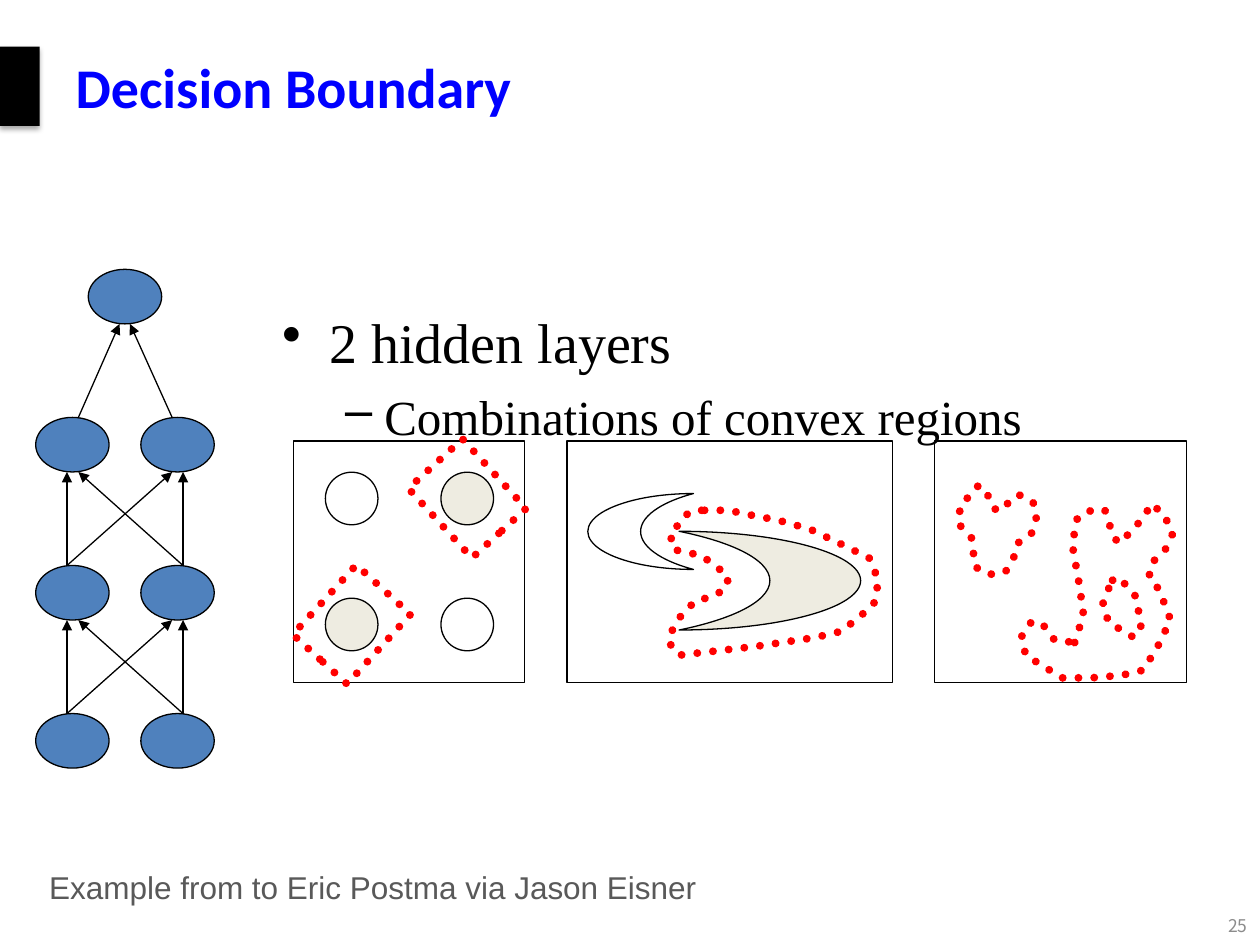
from lxml.etree import SubElement
from pptx import Presentation
from pptx.dml.color import RGBColor
from pptx.enum.dml import MSO_LINE
from pptx.enum.shapes import MSO_CONNECTOR, MSO_SHAPE as SHAPE
from pptx.enum.text import MSO_ANCHOR, PP_ALIGN
from pptx.oxml.ns import qn
from pptx.util import Cm, Pt

BLACK = RGBColor(0x00, 0x00, 0x00)
WHITE = RGBColor(0xFF, 0xFF, 0xFF)
BLUE = RGBColor(0x00, 0x00, 0xFF)
RED = RGBColor(0xFF, 0x00, 0x00)
CREAM = RGBColor(0xEE, 0xEC, 0xE1)
NODE_BLUE = RGBColor(0x4F, 0x81, 0xBD)
DARK_GREY = RGBColor(0x59, 0x59, 0x59)
LIGHT_GREY = RGBColor(0x8C, 0x8C, 0x8C)

presentation = Presentation()
presentation.slide_width, presentation.slide_height = Cm(25.4), Cm(19.05)
slide = presentation.slides.add_slide(presentation.slide_layouts[5])
shapes = slide.shapes


def add_outlined(kind, left, top, width, height, fill=None):
    shape = shapes.add_shape(kind, Cm(left), Cm(top), Cm(width), Cm(height))
    shape.shadow.inherit = False
    if fill is None:
        shape.fill.background()
    else:
        shape.fill.solid()
        shape.fill.fore_color.rgb = fill
    shape.line.color.rgb = BLACK
    shape.line.width = Pt(0.75)
    return shape


def make_dotted(shape):
    shape.shadow.inherit = False
    shape.fill.background()
    shape.line.color.rgb = RED
    shape.line.width = Pt(4.5)
    shape.line.dash_style = MSO_LINE.ROUND_DOT
    shape.element.spPr.find(qn("a:ln")).set("cap", "rnd")


bar = add_outlined(SHAPE.RECTANGLE, 0, 0.94, 0.8, 1.6, BLACK)
bar.line.fill.background()
effects = bar.element.spPr.find(qn("a:effectLst"))
shadow = SubElement(effects, qn("a:outerShdw"), blurRad=str(Pt(3.1)),
                    dist=str(Pt(1.8)), dir="5400000", rotWithShape="0")
shadow_color = SubElement(shadow, qn("a:srgbClr"), val=str(BLACK))
SubElement(shadow_color, qn("a:alpha"), val="35000")

title = shapes.title
title.left, title.top, title.width, title.height = Cm(1.27), Cm(0.15), Cm(22.86), Cm(3.18)
title.text_frame.text = "Decision Boundary"
title.text_frame.vertical_anchor = MSO_ANCHOR.MIDDLE
paragraph = title.text_frame.paragraphs[0]
paragraph.alignment = PP_ALIGN.LEFT
paragraph.font.name, paragraph.font.size = "Calibri", Pt(32)
paragraph.font.bold = True
paragraph.font.color.rgb = BLUE

body = shapes.add_textbox(Cm(5.44), Cm(6.07), Cm(17.48), Cm(10.8)).text_frame
body.word_wrap = True
body.text = "2 hidden layers\nCombinations of convex regions"
bullets = [("•", 0.95, 0.95, 32), ("–", 2.06, 0.79, 28)]
for paragraph, (bullet, margin, hanging, size) in zip(body.paragraphs, bullets):
    properties = paragraph._p.get_or_add_pPr()
    properties.set("marL", str(Cm(margin)))
    properties.set("indent", str(-Cm(hanging)))
    SubElement(properties, qn("a:buChar"), char=bullet)
    paragraph.font.name, paragraph.font.size = "Times New Roman", Pt(size)
    paragraph.font.color.rgb = BLACK
body.paragraphs[1].space_before = Pt(7)

captions = [
    ("Example from to Eric Postma via Jason Eisner", 0.74, 17.37, 14.5, 1.02,
     "Arial", 18, DARK_GREY, PP_ALIGN.LEFT),
    ("25", 21.49, 18.29, 3.91, 0.74, "Noto Sans CJK SC", 10, LIGHT_GREY, PP_ALIGN.RIGHT),
]
for text, left, top, width, height, font, size, color, alignment in captions:
    frame = shapes.add_textbox(Cm(left), Cm(top), Cm(width), Cm(height)).text_frame
    frame.text = text
    frame.word_wrap = False
    frame.vertical_anchor = MSO_ANCHOR.MIDDLE
    paragraph = frame.paragraphs[0]
    paragraph.alignment = alignment
    paragraph.font.name, paragraph.font.size = font, Pt(size)
    paragraph.font.color.rgb = color

for row, fills in enumerate([(WHITE, CREAM), (CREAM, WHITE)]):
    for column, fill in enumerate(fills):
        add_outlined(SHAPE.OVAL, 6.56 + 2.33 * column, 9.52 + 2.54 * row, 1.06, 1.06, fill)
add_outlined(SHAPE.MOON, 11.85, 9.95, 2.13, 1.53, WHITE)
add_outlined(SHAPE.MOON, 13.69, 10.71, 3.66, 1.99, CREAM).rotation = 180
for left, width in [(5.92, 4.66), (11.43, 6.56), (18.84, 5.08)]:
    add_outlined(SHAPE.RECTANGLE, left, 8.89, width, 4.87)

for left, top, angle in [(6.35, 11.64, 42.4), (8.68, 9.1, 317.6)]:
    region = add_outlined(SHAPE.RECTANGLE, left, top, 1.48, 1.9)
    region.rotation = angle
    make_dotted(region)

GRID = Cm(0.0254)
boundaries = [
    [(557, 405), (546, 407), (543, 413), (532, 422), (534, 436), (557, 441), (578, 457),
     (577, 466), (567, 473), (552, 477), (541, 488), (534, 499), (531, 510), (539, 520),
     (600, 513), (647, 506), (668, 501), (690, 483), (695, 477), (697, 460), (690, 443),
     (668, 432), (643, 420), (618, 413), (597, 409), (578, 405)],
    [(776, 386), (762, 402), (761, 416), (771, 427), (774, 450), (785, 456), (798, 454),
     (807, 438), (808, 431), (819, 423), (823, 409), (820, 399), (810, 393), (803, 395),
     (796, 405), (789, 404), (783, 391)],
    [(853, 510), (860, 488), (857, 466), (851, 432), (855, 412), (860, 407), (871, 404),
     (877, 405), (884, 427), (889, 431), (903, 416), (911, 405), (913, 400), (923, 407),
     (931, 423), (925, 436), (914, 447), (912, 458), (920, 468), (925, 481), (929, 492),
     (918, 515), (907, 532), (890, 536), (866, 538), (843, 538), (814, 520), (811, 505),
     (819, 493), (828, 496), (837, 508)],
    [(880, 467), (875, 480), (880, 494), (895, 503), (900, 506), (906, 496), (901, 473),
     (888, 458), (882, 461)],
]
for start, *points in boundaries:
    builder = shapes.build_freeform(*start, scale=GRID)
    builder.add_line_segments(points, close=True)
    make_dotted(builder.convert_to_shape())

layer_centers = [5.98 + 2.985 * layer for layer in range(4)]
pair_arrows = [(1.35, 1.35), (3.69, 1.58), (1.35, 3.47), (3.69, 3.69)]
layers = [
    ([2.52], [(1.58, 2.41), (3.47, 2.62)]),
    ([1.46, 3.58], pair_arrows),
    ([1.46, 3.58], pair_arrows),
    ([1.46, 3.58], []),
]
for center, (nodes, arrows) in zip(layer_centers, layers):
    for node in nodes:
        add_outlined(SHAPE.OVAL, node - 0.74, center - 0.55, 1.48, 1.1, NODE_BLUE)
    for start, end in arrows:
        arrow = shapes.add_connector(MSO_CONNECTOR.STRAIGHT, Cm(start), Cm(center + 2.435),
                                     Cm(end), Cm(center + 0.55))
        arrow.line.color.rgb = BLACK
        arrow.line.width = Pt(0.75)
        arrow_properties = arrow._element.spPr
        SubElement(arrow_properties.find(qn("a:ln")), qn("a:tailEnd"), type="triangle")
        SubElement(arrow_properties, qn("a:effectLst"))

presentation.save("out.pptx")
